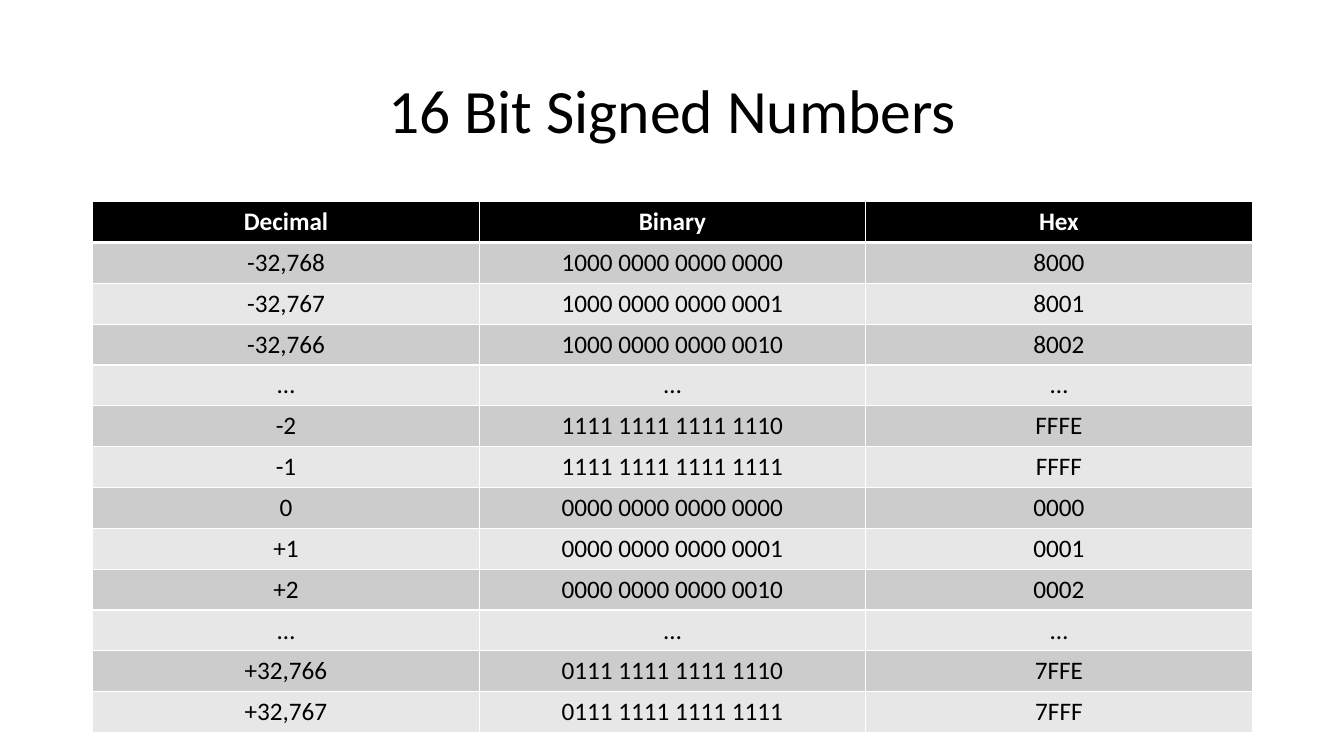
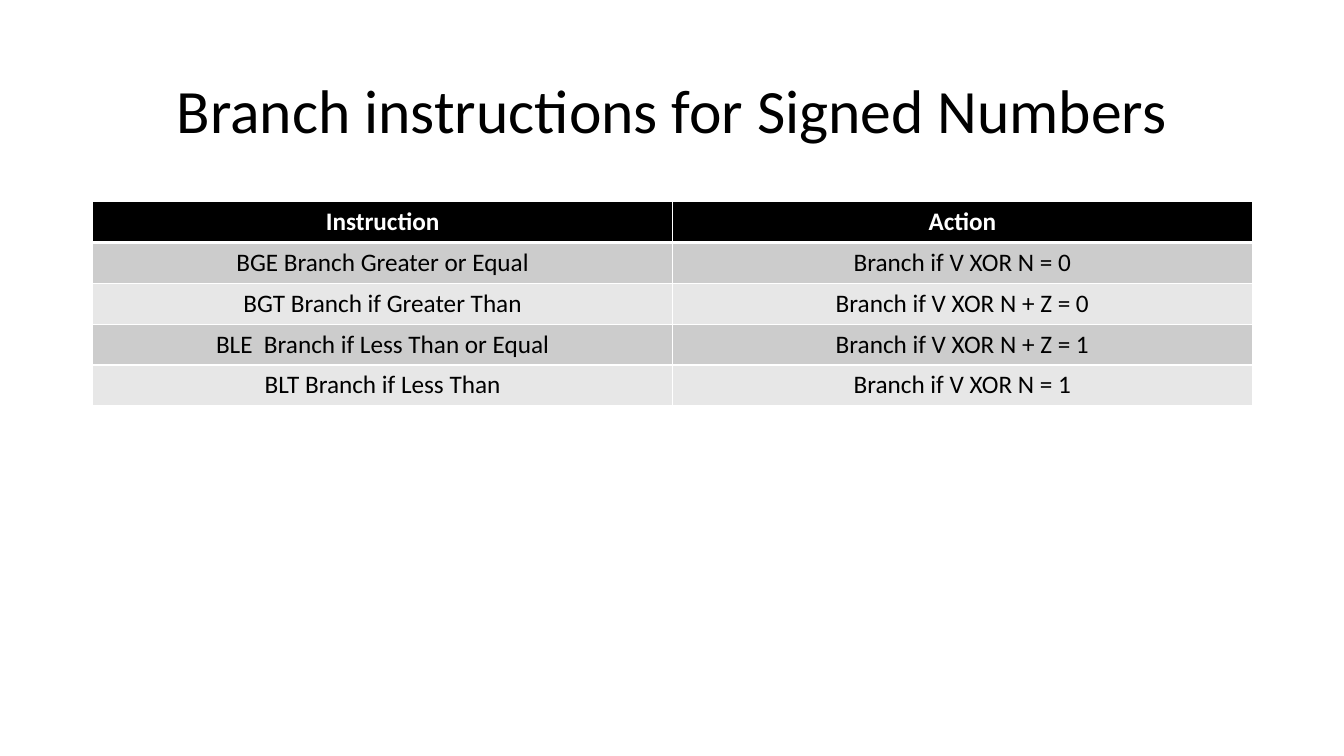
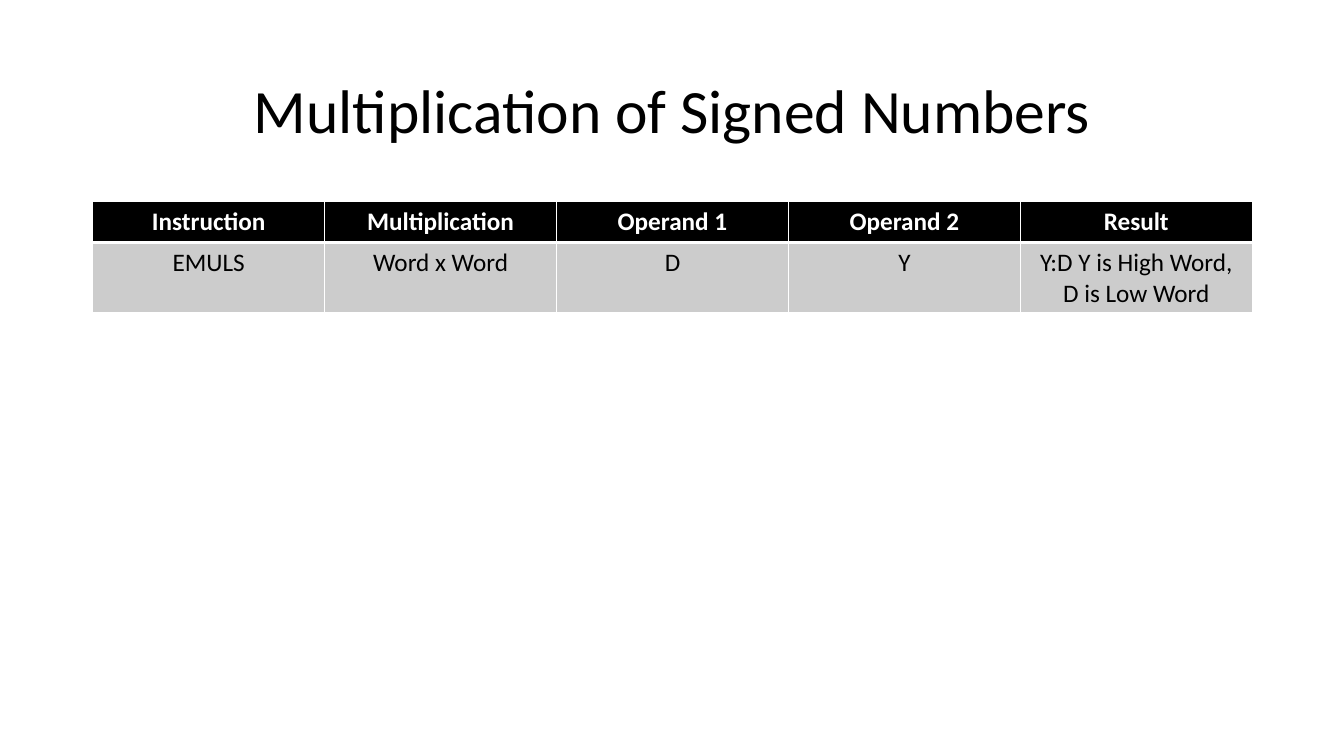
from dataclasses import dataclass

from lxml.etree import SubElement
from pptx import Presentation
from pptx.dml.color import RGBColor
from pptx.enum.text import MSO_ANCHOR as Anchor, PP_ALIGN as Align
from pptx.oxml.ns import qn
from pptx.slide import Slide
from pptx.table import _Cell as Cell
from pptx.text.text import TextFrame
from pptx.util import Inches, Pt

BLACK = RGBColor(0x00, 0x00, 0x00)
WHITE = RGBColor(0xFF, 0xFF, 0xFF)
DARK_BAND = RGBColor(0xCC, 0xCC, 0xCC)
LIGHT_BAND = RGBColor(0xE7, 0xE7, 0xE7)

FONT = "Calibri"
LEFT = Inches(0.92)
WIDTH = Inches(11.5)
TITLE_TOP = Inches(0.4)
TITLE_HEIGHT = Inches(1.45)
TABLE_TOP = Inches(2)
ROW_HEIGHT = Inches(5.27 / 13)
THIN = Pt(1)
THICK = Pt(3)


@dataclass(frozen=True)
class Topic:
    title: str
    header: tuple[str, ...]
    rows: tuple[tuple[str, ...], ...]


TOPICS = (
    Topic(
        "16 Bit Signed Numbers",
        ("Decimal", "Binary", "Hex"),
        (
            ("-32,768", "1000 0000 0000 0000", "8000"),
            ("-32,767", "1000 0000 0000 0001", "8001"),
            ("-32,766", "1000 0000 0000 0010", "8002"),
            ("…", "…", "…"),
            ("-2", "1111 1111 1111 1110", "FFFE"),
            ("-1", "1111 1111 1111 1111", "FFFF"),
            ("0", "0000 0000 0000 0000", "0000"),
            ("+1", "0000 0000 0000 0001", "0001"),
            ("+2", "0000 0000 0000 0010", "0002"),
            ("…", "…", "…"),
            ("+32,766", "0111 1111 1111 1110", "7FFE"),
            ("+32,767", "0111 1111 1111 1111", "7FFF"),
        ),
    ),
    Topic(
        "Branch instructions for Signed Numbers",
        ("Instruction", "Action"),
        (
            ("BGE Branch Greater or Equal", "Branch if V XOR N = 0"),
            ("BGT Branch if Greater Than", "Branch if V XOR N + Z = 0"),
            ("BLE  Branch if Less Than or Equal", "Branch if V XOR N + Z = 1"),
            ("BLT Branch if Less Than", "Branch if V XOR N = 1"),
        ),
    ),
    Topic(
        "Multiplication of Signed Numbers",
        ("Instruction", "Multiplication", "Operand 1", "Operand 2", "Result"),
        (("EMULS", "Word x Word", "D", "Y", "Y:D Y is High Word, D is Low Word"),),
    ),
)


def write(frame: TextFrame, text: str, *, size: int = 18, color: RGBColor = BLACK,
          bold: bool = False, line_spacing: float = 1.0) -> None:
    paragraph = frame.paragraphs[0]
    paragraph.alignment = Align.CENTER
    paragraph.line_spacing = line_spacing
    run = paragraph.add_run()
    run.text = text
    run.font.name = FONT
    run.font.size = Pt(size)
    run.font.bold = bold
    run.font.color.rgb = color


def draw_borders(cell: Cell, *, top: int, bottom: int) -> None:
    properties = cell._tc.get_or_add_tcPr()
    for side, width in (("L", THIN), ("R", THIN), ("T", top), ("B", bottom)):
        line = SubElement(properties, qn(f"a:ln{side}"), w=str(width))
        fill = SubElement(line, qn("a:solidFill"))
        SubElement(fill, qn("a:srgbClr"), val=str(WHITE))


def draw_title(slide: Slide, title: str) -> None:
    frame = slide.shapes.add_textbox(LEFT, TITLE_TOP, WIDTH, TITLE_HEIGHT).text_frame
    frame.word_wrap = True
    frame.vertical_anchor = Anchor.MIDDLE
    write(frame, title, size=44, line_spacing=0.9)


def draw_table(slide: Slide, topic: Topic) -> None:
    lines = (topic.header, *topic.rows)
    table = slide.shapes.add_table(
        len(lines), len(topic.header), LEFT, TABLE_TOP, WIDTH, ROW_HEIGHT * len(lines)
    ).table
    table.horz_banding = False
    for row, texts in enumerate(lines):
        is_header = row == 0
        band = BLACK if is_header else DARK_BAND if row % 2 else LIGHT_BAND
        for column, text in enumerate(texts):
            cell = table.cell(row, column)
            draw_borders(cell, top=THICK if row == 1 else THIN,
                         bottom=THICK if is_header else THIN)
            cell.fill.solid()
            cell.fill.fore_color.rgb = band
            write(cell.text_frame, text, color=WHITE if is_header else BLACK, bold=is_header)


def main() -> None:
    deck = Presentation()
    deck.slide_width = Inches(13.33)
    deck.slide_height = Inches(7.5)
    blank = deck.slide_layouts[6]
    for topic in TOPICS:
        slide = deck.slides.add_slide(blank)
        draw_title(slide, topic.title)
        draw_table(slide, topic)
    deck.save("out.pptx")


if __name__ == "__main__":
    main()
